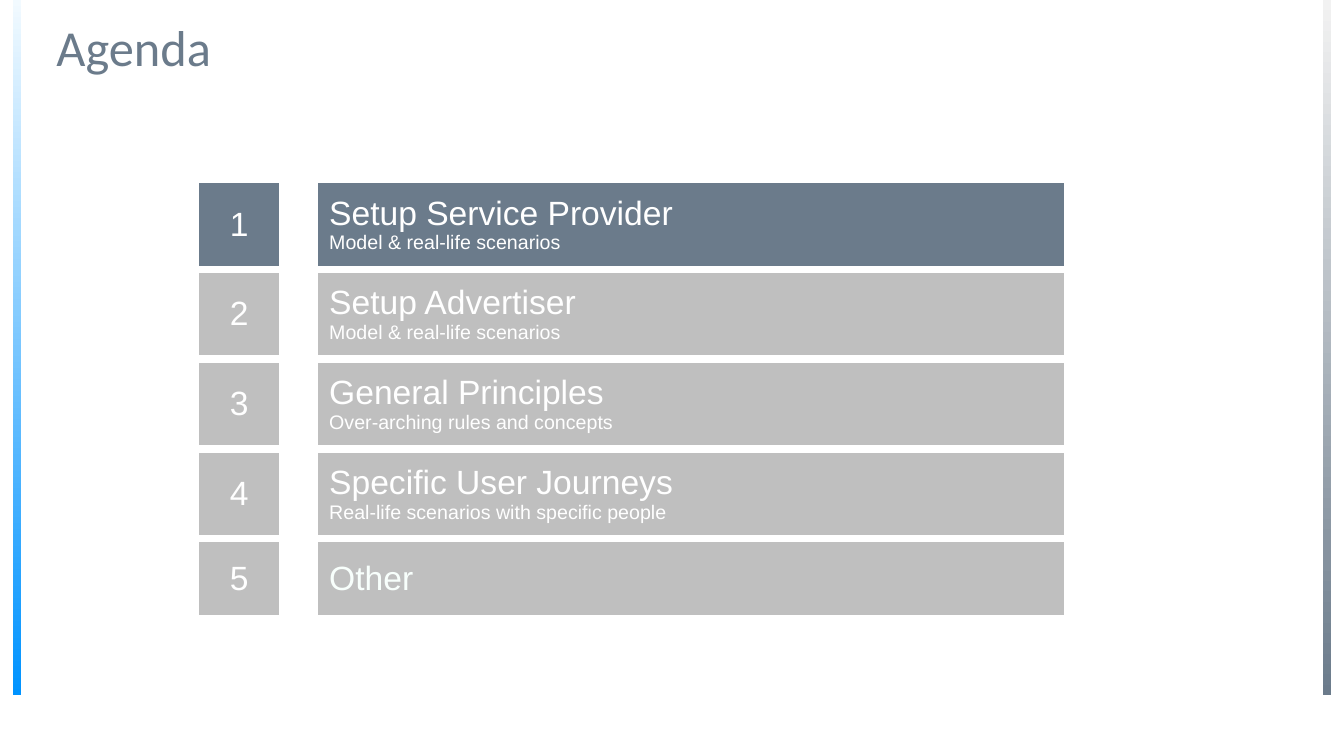
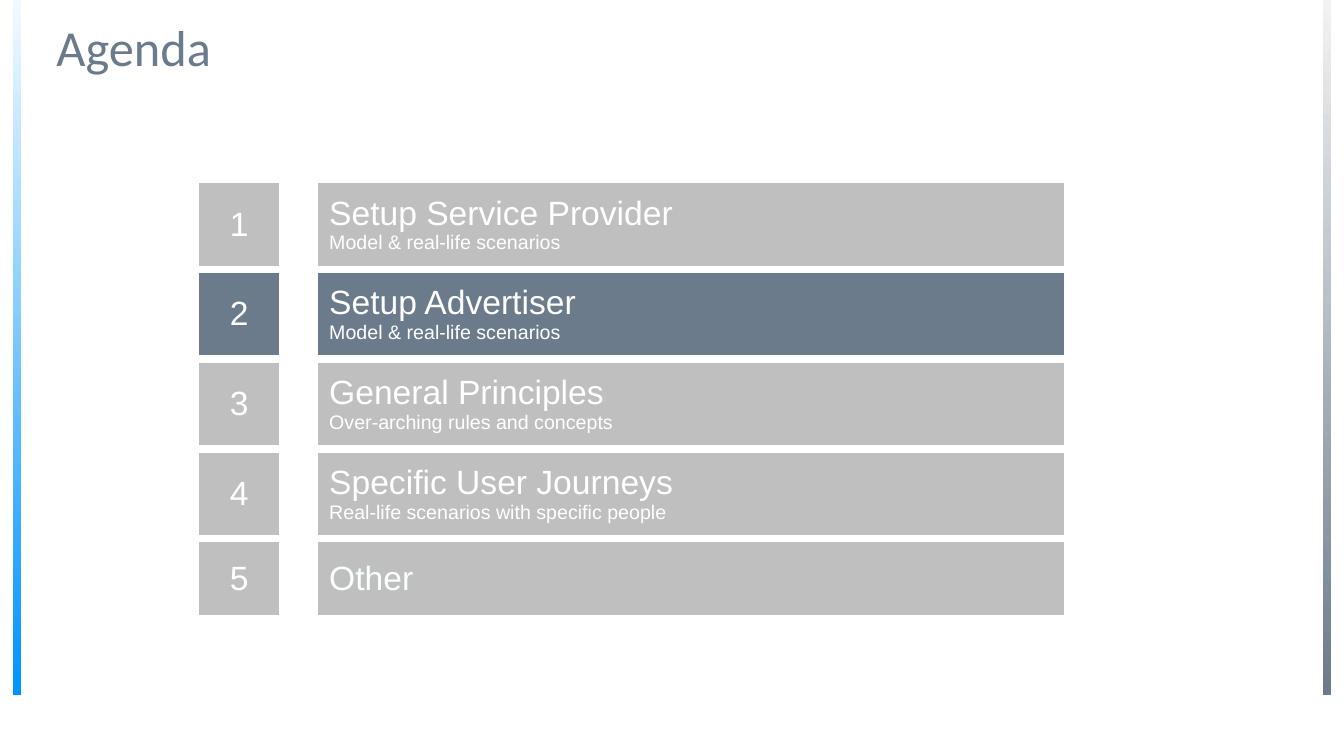
from lxml import etree
from pptx import Presentation
from pptx.dml.color import RGBColor
from pptx.enum.shapes import MSO_SHAPE
from pptx.enum.text import MSO_ANCHOR, PP_ALIGN
from pptx.oxml.ns import qn
from pptx.util import Pt

RECTANGLE = MSO_SHAPE.RECTANGLE
MIDDLE = MSO_ANCHOR.MIDDLE
LEFT, CENTER = PP_ALIGN.LEFT, PP_ALIGN.CENTER

SLATE = RGBColor(0x6B, 0x7B, 0x8B)
GREY = RGBColor(0xBF, 0xBF, 0xBF)
WHITE = RGBColor(0xFF, 0xFF, 0xFF)
MINT_WHITE = RGBColor(0xF8, 0xFF, 0xFC)
PALE_BLUE = RGBColor(0xF2, 0xFA, 0xFF)
BLUE = RGBColor(0x00, 0x93, 0xFF)
PALE_GREY = RGBColor(0xF2, 0xF2, 0xF2)

TITLE_FONT, BODY_FONT = "Calibri", "Arial"
SLIDE_SIZE = (960, 540)
TITLE_BOX = (33.1, 13, 894.2, 45.4)
BAND_WIDTH, BAND_HEIGHT = 5.8, 496.6
BANDS = [(9.3, PALE_BLUE, BLUE), (944.9, PALE_GREY, SLATE)]

AGENDA_BOX = (139.5, 128.2, 623.5, 284.5)
NUMBER_WIDTH, GAP_WIDTH = 62.6, 22.3
TOPIC_INSET = 10.8
GUTTER = 6
TOPICS = [
    ("Setup Service Provider", "Model & real-life scenarios", WHITE),
    ("Setup Advertiser", "Model & real-life scenarios", WHITE),
    ("General Principles", "Over-arching rules and concepts", WHITE),
    ("Specific User Journeys", "Real-life scenarios with specific people", WHITE),
    ("Other", None, MINT_WHITE),
]


def points(box):
    return [Pt(length) for length in box]


def style_run(run, font, size, color):
    run.font.name = font
    run.font.size = Pt(size)
    run.font.color.rgb = color


def place(shape, box):
    shape.left, shape.top, shape.width, shape.height = points(box)


def add_band(slide, layout, left, top_color, bottom_color):
    band = slide.shapes.add_shape(
        RECTANGLE, *points((left, 0, BAND_WIDTH, BAND_HEIGHT)))
    band.shadow.inherit = False
    band.line.fill.background()
    band.fill.gradient()
    band.fill.gradient_angle = 270
    for stop, position, color in zip(
            band.fill.gradient_stops, (0, 1), (top_color, bottom_color)):
        stop.position = position
        stop.color.rgb = color
    layout.shapes.element.insert(2, band.element)


def write_title(slide, text):
    frame = slide.shapes.title.text_frame
    frame.text = text
    frame.vertical_anchor = MIDDLE
    heading = frame.paragraphs[0]
    heading.alignment = LEFT
    heading.line_spacing = 0.9
    style_run(heading.runs[0], TITLE_FONT, 36, SLATE)


def add_gutters(cell):
    properties = cell._tc.get_or_add_tcPr()
    for index, side in enumerate(("a:lnL", "a:lnR", "a:lnT", "a:lnB")):
        border = etree.Element(qn(side), w=str(Pt(GUTTER)))
        fill = etree.SubElement(border, qn("a:solidFill"))
        etree.SubElement(fill, qn("a:srgbClr"), val=str(WHITE))
        properties.insert(index, border)


def fill_cell(cell, text, fill, alignment, inset, color):
    cell.fill.solid()
    cell.fill.fore_color.rgb = fill
    cell.vertical_anchor = MIDDLE
    cell.margin_left = cell.margin_right = Pt(inset)
    cell.margin_top = cell.margin_bottom = Pt(inset)
    paragraph = cell.text_frame.paragraphs[0]
    paragraph.text = text
    paragraph.alignment = alignment
    for run, size in zip(paragraph.runs, (24, 14)):
        style_run(run, BODY_FONT, size, color)


def add_agenda(slide, box, current):
    agenda = slide.shapes.add_table(len(TOPICS), 3, *points(box)).table
    agenda.first_row = agenda.horz_banding = False
    topic_width = box[2] - NUMBER_WIDTH - GAP_WIDTH
    for column, width in zip(
            agenda.columns, (NUMBER_WIDTH, GAP_WIDTH, topic_width)):
        column.width = Pt(width)
    for index, (topic, detail, color) in enumerate(TOPICS):
        number_cell, gap_cell, topic_cell = agenda.rows[index].cells
        fill = SLATE if index + 1 == current else GREY
        text = f"{topic}\v{detail}" if detail else topic
        fill_cell(number_cell, str(index + 1), fill, CENTER, 0, WHITE)
        gap_cell.fill.background()
        fill_cell(topic_cell, text, fill, LEFT, TOPIC_INSET, color)
        for cell in (number_cell, gap_cell, topic_cell):
            add_gutters(cell)


def add_agenda_slide(deck, layout, current):
    slide = deck.slides.add_slide(layout)
    write_title(slide, "Agenda")
    add_agenda(slide, AGENDA_BOX, current)
    return slide


def main():
    deck = Presentation()
    deck.slide_width, deck.slide_height = points(SLIDE_SIZE)
    layout = deck.slide_layouts.get_by_name("Title Only")
    place(layout.placeholders[0], TITLE_BOX)
    provider_slide = add_agenda_slide(deck, layout, 1)
    for band in BANDS:
        add_band(provider_slide, layout, *band)
    add_agenda_slide(deck, layout, 2)
    deck.save("out.pptx")


if __name__ == "__main__":
    main()
